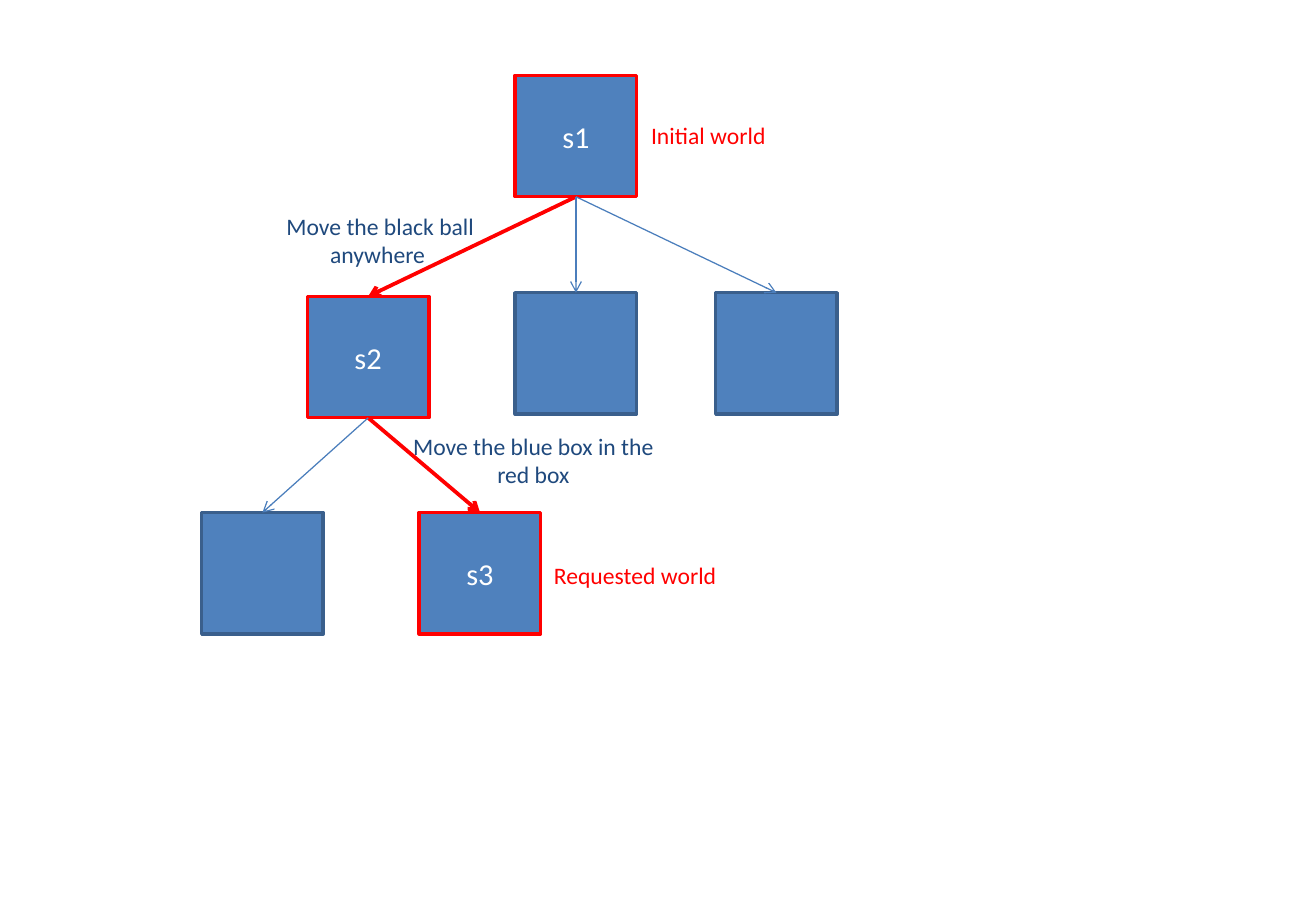
import pptx
import pptx.util
import pptx.dml.color
import pptx.enum.shapes
import pptx.enum.text
from lxml import etree
from pptx.oxml.ns import qn

Inches, Pt = pptx.util.Inches, pptx.util.Pt
ALIGN = pptx.enum.text.PP_ALIGN
MIDDLE = pptx.enum.text.MSO_ANCHOR.MIDDLE
RED, BLUE, EDGE, ARROW, NAVY, WHITE = "FF0000", "4F81BD", "3A5F8C", "4B7EBC", "1F497D", "FFFFFF"
SIDE = 1

# name: (left, top, text, on the solution route), relative to the tree
WORLDS = {
    "s1": (2.58, 0, "s1", True),
    "s2": (0.87, 1.82, "s2", True),
    "middle": (2.58, 1.79, "", False),
    "right": (4.23, 1.79, "", False),
    "left": (0, 3.6, "", False),
    "s3": (1.79, 3.6, "s3", True),
}
MOVES = [("s1", "s2"), ("s2", "s3"), ("s2", "left"), ("s1", "middle"), ("s1", "right")]
# left, top, text, colour, alignment, relative to the tree
LABELS = [
    (0.37, 1.08, "Move the black ball anywhere ", NAVY, ALIGN.CENTER),
    (1.63, 2.89, "Move the blue box in the red box", NAVY, ALIGN.CENTER),
    (3.6, 0.22, "Initial world", RED, ALIGN.LEFT),
    (2.8, 3.84, "Requested world", RED, ALIGN.LEFT),
]


def rgb(value):
    """Turn a hex string into a colour."""
    return pptx.dml.color.RGBColor.from_string(value)


def apply(target, formats):
    """Set attributes from a dict of format values."""
    for name, value in formats.items():
        setattr(target, name, value)


def set_line(line, color, width):
    """Give a line its colour and width in points."""
    line.color.rgb = rgb(color)
    line.width = Pt(width)


def write(sp, text, size, color, align=ALIGN.CENTER):
    """Write one paragraph, anchored in the middle of a shape."""
    tf = sp.text_frame
    apply(tf, {"word_wrap": True, "vertical_anchor": MIDDLE})
    p = tf.paragraphs[0]
    p.alignment = align
    r = p.add_run()
    r.text = text
    apply(r.font, {"name": "Calibri", "size": Pt(size)})
    r.font.color.rgb = rgb(color)


def add_world(s, left, top, text, on_route):
    """Add the square of one world state."""
    sp = s.shapes.add_shape(pptx.enum.shapes.MSO_SHAPE.RECTANGLE,
                            Inches(left), Inches(top), Inches(SIDE), Inches(SIDE))
    sp.shadow.inherit = False
    sp.fill.solid()
    sp.fill.fore_color.rgb = rgb(BLUE)
    set_line(sp.line, RED if on_route else EDGE, 2)
    if text:
        write(sp, text, 18, WHITE)
    return sp


def add_move(s, parent, child, on_route):
    """Add an arrow from the bottom of a parent to the top of its child."""
    cx = s.shapes.add_connector(pptx.enum.shapes.MSO_CONNECTOR.STRAIGHT, 0, 0, 0, 0)
    cx.begin_connect(parent, 2)
    cx.end_connect(child, 0)
    set_line(cx.line, RED if on_route else ARROW, 2.25 if on_route else 0.75)
    etree.SubElement(cx.line._get_or_add_ln(), qn("a:tailEnd"), type="arrow")
    etree.SubElement(cx._element.spPr, qn("a:effectLst"))


def add_label(s, left, top, text, color, align):
    """Add a label for a move or a world."""
    sp = s.shapes.add_textbox(Inches(left), Inches(top), Inches(2.2), Inches(0.55))
    write(sp, text, 14, color, align)


def add_tree(s, left, top):
    """Draw the search tree with its top left corner at the given place."""
    worlds = {name: add_world(s, left + x, top + y, text, on_route)
              for name, (x, y, text, on_route) in WORLDS.items()}
    for parent, child in MOVES:
        add_move(s, worlds[parent], worlds[child], WORLDS[child][3])
    for x, y, *content in LABELS:
        add_label(s, left + x, top + y, *content)


prs = pptx.Presentation()
apply(prs, {"slide_width": Inches(10.83), "slide_height": Inches(7.5)})
s = prs.slides.add_slide(prs.slide_layouts[6])
add_tree(s, 1.66, 0.62)
prs.save("out.pptx")
